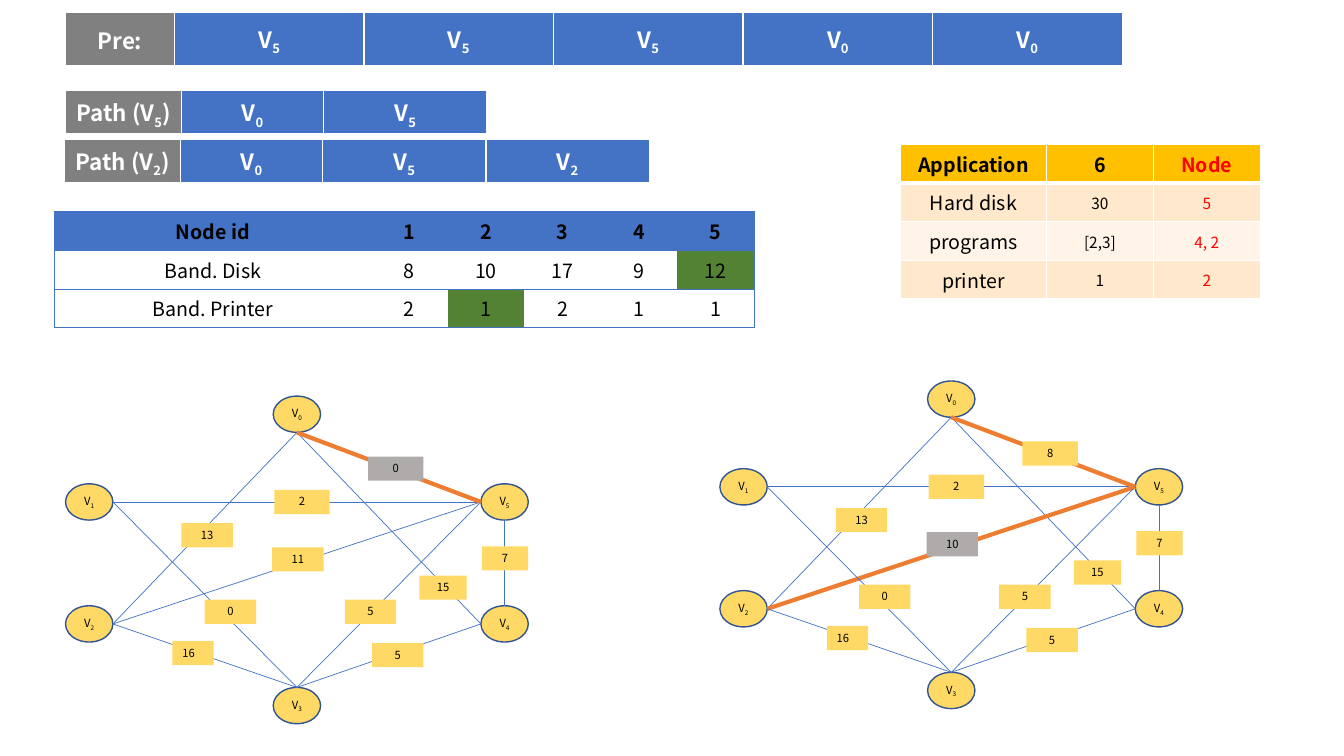
from lxml.etree import SubElement
from pptx import Presentation
from pptx.dml.color import RGBColor
from pptx.enum.shapes import MSO_CONNECTOR, MSO_SHAPE
from pptx.enum.text import MSO_ANCHOR, MSO_AUTO_SIZE, PP_ALIGN
from pptx.oxml.ns import qn
from pptx.util import Inches, Pt

FONT = "Noto Sans CJK JP"
BLACK, WHITE, RED = "000000", "FFFFFF", "FF0000"
BLUE, GRAY, GREEN, ORANGE = "4472C4", "808080", "548235", "ED7D31"
YELLOW, LABEL_GRAY, OUTLINE = "FFD966", "AFABAB", "325491"
PLAIN_TABLE_STYLE = "{2D5ABB26-0587-4C30-8999-92F81FD0307C}"
WIDE_INSETS = (0.1, 0.05, 0.1, 0.05)
TIGHT_INSETS = (0.01, 0.01, 0.01, 0)

NODE_WIDTH, NODE_HEIGHT, LABEL_HEIGHT = 0.47, 0.36, 0.24
NODES = {0: (2.06, 0), 1: (0, 0.87), 2: (0, 2.08),
         3: (2.06, 2.89), 4: (4.12, 2.08), 5: (4.12, 0.87)}
PORTS = {0: "bottom", 1: "right", 2: "right", 3: "top", 4: "left", 5: "left"}
SIDES = {"top": (0.5, 0), "bottom": (0.5, 1), "left": (0, 0.5), "right": (1, 0.5)}
EDGE_LABELS = {
    (0, 2): ("13", 1.15, 1.26, 0.51),
    (0, 4): ("15", 3.51, 1.78, 0.47),
    (5, 2): ("11", 2.05, 1.5, 0.51),
    (3, 2): ("16", 1.06, 2.43, 0.41),
    (3, 4): ("5", 3.04, 2.45, 0.51),
    (3, 5): ("5", 2.77, 2.02, 0.51),
    (4, 5): ("7", 4.13, 1.49, 0.46),
    (1, 5): ("2", 2.07, 0.93, 0.55),
    (1, 3): ("0", 1.38, 2.02, 0.51),
    (0, 5): ("0", 3.0, 0.6, 0.55),
}


def color(value):
    """Return the colour for a hex string."""
    return RGBColor.from_string(value)


def write_text(frame, text, size=8, fill=BLACK, bold=False, align=PP_ALIGN.CENTER):
    """Write one paragraph; the character after an underscore is a subscript."""
    paragraph = frame.paragraphs[0]
    paragraph.alignment = align
    first, *others = text.split("_")
    pieces = [(first, False)]
    for other in others:
        pieces += [(other[:1], True), (other[1:], False)]
    for piece, lowered in pieces:
        if not piece:
            continue
        run = paragraph.add_run()
        run.text = piece
        run.font.name = FONT
        run.font.size = Pt(size)
        run.font.bold = bold
        run.font.color.rgb = color(fill)
        if lowered:
            run.font._element.set("baseline", "-25000")


def set_borders(cell, borders):
    """Draw the given (colour, points) borders and clear the other sides."""
    properties = cell._tc.get_or_add_tcPr()
    for side in "LRTB":
        line = SubElement(properties, qn(f"a:ln{side}"))
        if side in borders:
            line_color, points = borders[side]
            line.set("w", str(int(Pt(points))))
            fill = SubElement(line, qn("a:solidFill"))
            SubElement(fill, qn("a:srgbClr")).set("val", line_color)
        else:
            line.set("w", "0")
            SubElement(line, qn("a:noFill"))


def format_cell(cell, text, background, borders, insets, anchor=MSO_ANCHOR.MIDDLE, **text_format):
    """Give one table cell its text, borders and background."""
    set_borders(cell, borders)
    if background:
        cell.fill.solid()
        cell.fill.fore_color.rgb = color(background)
    else:
        cell.fill.background()
    cell.vertical_anchor = anchor
    cell.margin_left, cell.margin_top, cell.margin_right, cell.margin_bottom = map(Inches, insets)
    write_text(cell.text_frame, text, **text_format)


def add_plain_table(slide, left, top, widths, row_height, row_count):
    """Add an unstyled table with the given column widths."""
    frame = slide.shapes.add_table(row_count, len(widths), Inches(left), Inches(top),
                                   Inches(sum(widths)), Inches(row_height * row_count))
    table = frame.table
    table._tbl.tblPr.find(qn("a:tableStyleId")).text = PLAIN_TABLE_STYLE
    for column, width in zip(table.columns, widths):
        column.width = Inches(width)
    for row in table.rows:
        row.height = Inches(row_height)
    return table


def white_borders(bottom):
    """Return thin white borders with the given bottom width."""
    return {side: (WHITE, 1) for side in "LRT"} | {"B": (WHITE, bottom)}


def add_strip(slide, left, top, widths, height, texts):
    """Add a one-row table with a gray heading and blue steps."""
    table = add_plain_table(slide, left, top, widths, height, 1)
    for index, text in enumerate(texts):
        format_cell(table.cell(0, index), text, BLUE if index else GRAY, white_borders(3),
                    TIGHT_INSETS, size=16, fill=WHITE, bold=True)


def add_application_table(slide, left, top):
    """Add the table of application needs and chosen nodes."""
    rows = [("Application", "6", "Node"), ("Hard disk", "30", "5"),
            ("programs", "[2,3]", "4, 2"), ("printer", "1", "2")]
    backgrounds = ["FFC000", "FFE8CC", "FFF4E7", "FFE8CC"]
    table = add_plain_table(slide, left, top, [1.45, 1.06, 1.06], 0.36, len(rows))
    for row, (texts, background) in enumerate(zip(rows, backgrounds)):
        borders = white_borders(1 if row else 3)
        if row == 1:
            borders["T"] = (WHITE, 3)
        for column, text in enumerate(texts):
            small = row > 0 and column > 0
            format_cell(table.cell(row, column), text, background, borders,
                        TIGHT_INSETS if small else WIDE_INSETS, size=11 if small else 14,
                        fill=RED if column == 2 else BLACK, bold=row == 0)


def add_bandwidth_table(slide, left, top):
    """Add the table of disk and printer bandwidth per node."""
    rows = [("Node id", "1", "2", "3", "4", "5"),
            ("Band. Disk", "8", "10", "17", "9", "12"),
            ("Band. Printer", "2", "1", "2", "1", "1")]
    chosen = {(1, 5), (2, 2)}
    rule = (BLUE, 0.5)
    table = add_plain_table(slide, left, top, [3.14] + [0.76] * 5, 0.37, len(rows))
    for row, texts in enumerate(rows):
        for column, text in enumerate(texts):
            borders = {"T": rule, "B": rule}
            if column == 0:
                borders["L"] = rule
            if column == len(texts) - 1:
                borders["R"] = rule
            background = BLUE if row == 0 else GREEN if (row, column) in chosen else None
            format_cell(table.cell(row, column), text, background, borders, WIDE_INSETS,
                        anchor=MSO_ANCHOR.TOP, size=14, bold=row == 0)


def add_filled_shape(slide, kind, left, top, width, height, background):
    """Add a flat shape with a plain fill and no outline."""
    shape = slide.shapes.add_shape(kind, Inches(left), Inches(top), Inches(width), Inches(height))
    shape.shadow.inherit = False
    shape.fill.solid()
    shape.fill.fore_color.rgb = color(background)
    shape.line.fill.background()
    return shape


def add_node(slide, left, top, number):
    """Add one graph node."""
    node = add_filled_shape(slide, MSO_SHAPE.OVAL, left, top, NODE_WIDTH, NODE_HEIGHT, YELLOW)
    node.line.color.rgb = color(OUTLINE)
    node.line.width = Pt(1)
    node.text_frame.vertical_anchor = MSO_ANCHOR.MIDDLE
    write_text(node.text_frame, f"V_{number}")


def add_edge(slide, left, top, start, end, highlighted):
    """Add the line between two nodes."""
    sides = ("top", "bottom") if (start, end) == (4, 5) else (PORTS[start], PORTS[end])
    points = []
    for node, side in zip((start, end), sides):
        across, down = SIDES[side]
        points += [Inches(left + NODES[node][0] + across * NODE_WIDTH),
                   Inches(top + NODES[node][1] + down * NODE_HEIGHT)]
    edge = slide.shapes.add_connector(MSO_CONNECTOR.STRAIGHT, *points)
    edge.line.color.rgb = color(ORANGE if highlighted else BLUE)
    edge.line.width = Pt(3 if highlighted else 0.5)
    SubElement(edge._element.spPr, qn("a:effectLst"))


def add_graph(slide, left, top, highlighted, gray_edge, changed_weights):
    """Add a weighted graph with its highlighted path."""
    for number, (across, down) in NODES.items():
        add_node(slide, left + across, top + down, number)
    for edge in EDGE_LABELS:
        add_edge(slide, left, top, *edge, edge in highlighted)
    for edge, (weight, across, down, width) in EDGE_LABELS.items():
        label = add_filled_shape(slide, MSO_SHAPE.RECTANGLE, left + across, top + down, width,
                                 LABEL_HEIGHT, LABEL_GRAY if edge == gray_edge else YELLOW)
        label.text_frame.auto_size = MSO_AUTO_SIZE.SHAPE_TO_FIT_TEXT
        label.text_frame.vertical_anchor = MSO_ANCHOR.TOP
        write_text(label.text_frame, changed_weights.get(edge, weight),
                   align=PP_ALIGN.LEFT if edge == (3, 2) else PP_ALIGN.CENTER)


def main():
    """Build the slide and save it."""
    presentation = Presentation()
    presentation.slide_width, presentation.slide_height = Inches(13.33), Inches(7.5)
    slide = presentation.slides.add_slide(presentation.slide_layouts[6])
    add_application_table(slide, 8.93, 1.43)
    add_bandwidth_table(slide, 0.54, 2.1)
    add_graph(slide, 0.65, 3.93, {(0, 5)}, (0, 5), {})
    add_strip(slide, 0.65, 0.9, [1.15, 1.41, 1.62], 0.44, ["Path (V_5)", "V_0", "V_5"])
    add_strip(slide, 0.65, 0.12, [1.08] + [1.88] * 5, 0.54,
              ["Pre:", "V_5", "V_5", "V_5", "V_0", "V_0"])
    add_strip(slide, 0.64, 1.38, [1.15, 1.41, 1.62, 1.62], 0.44,
              ["Path (V_2)", "V_0", "V_5", "V_2"])
    add_graph(slide, 7.14, 3.78, {(0, 5), (5, 2)}, (5, 2), {(0, 5): "8", (5, 2): "10"})
    presentation.save("out.pptx")


if __name__ == "__main__":
    main()
